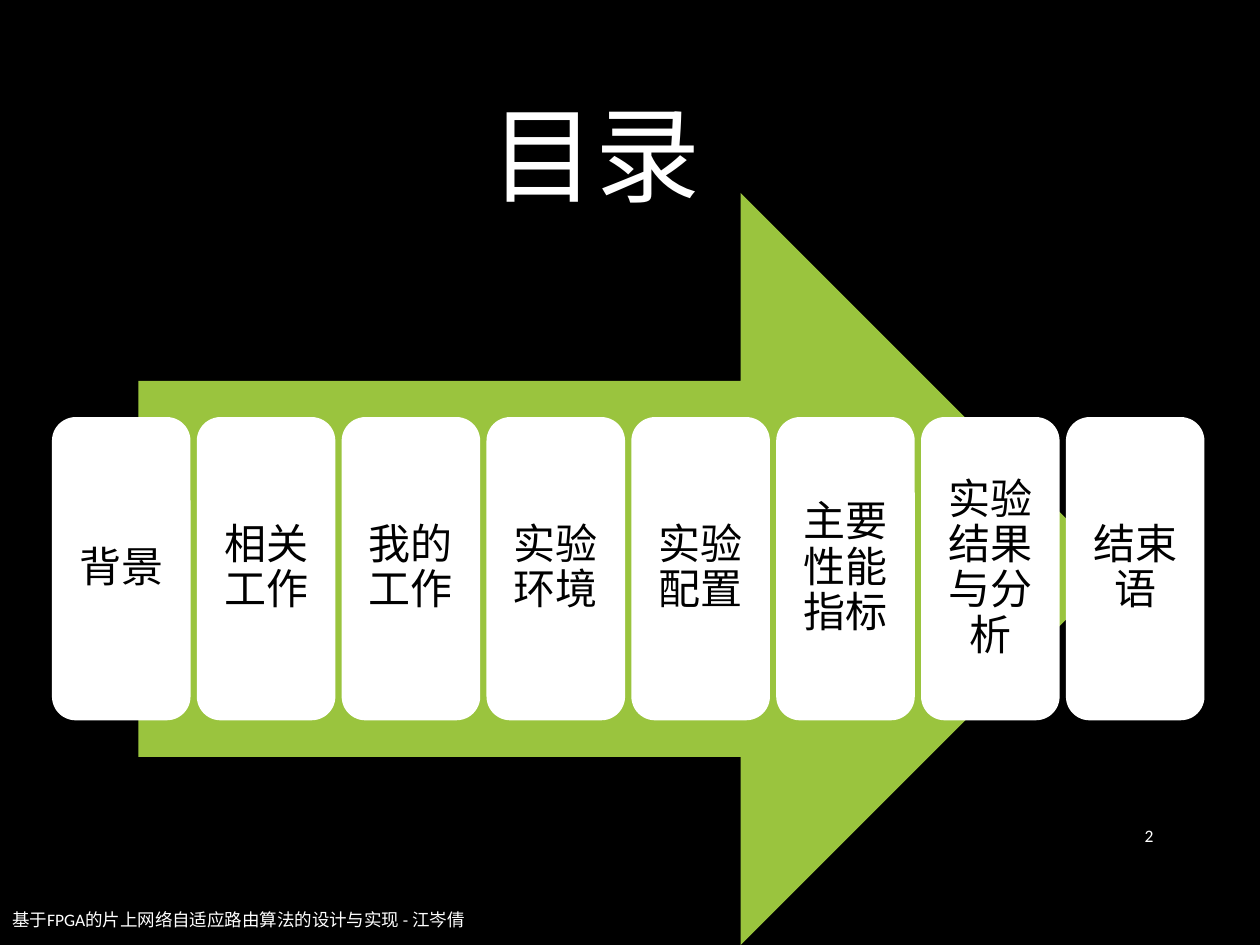
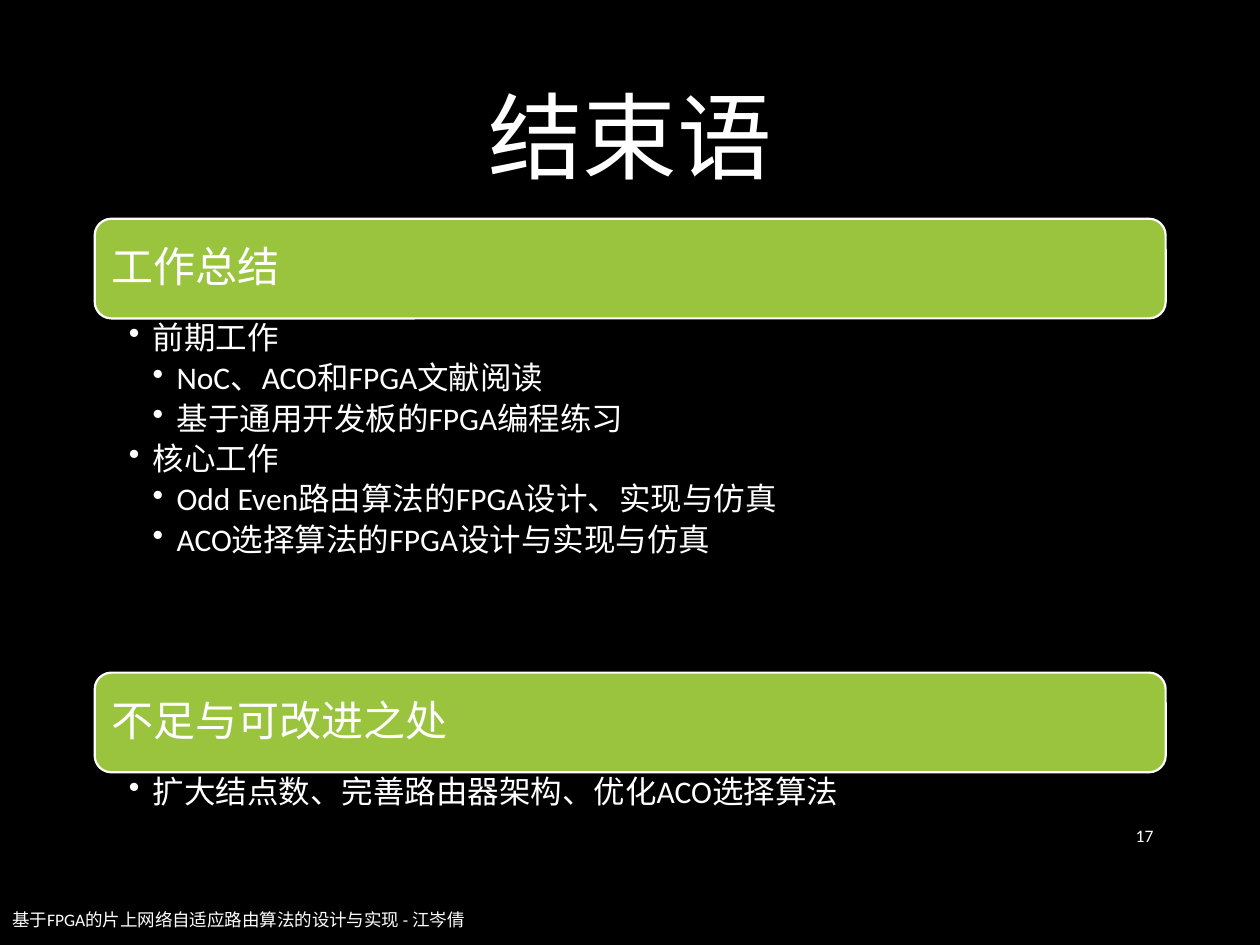
"""Builds the contents page and the closing page of the FPGA routing talk."""
from dataclasses import dataclass

from lxml import etree
from pptx import Presentation
from pptx.dml.color import RGBColor
from pptx.enum.shapes import MSO_SHAPE
from pptx.enum.text import MSO_ANCHOR, PP_ALIGN
from pptx.oxml.ns import qn
from pptx.util import Cm, Pt

ARROW, CARD = MSO_SHAPE.RIGHT_ARROW, MSO_SHAPE.ROUNDED_RECTANGLE
LEFT, CENTER, RIGHT = PP_ALIGN.LEFT, PP_ALIGN.CENTER, PP_ALIGN.RIGHT
MIDDLE, TOP = MSO_ANCHOR.MIDDLE, MSO_ANCHOR.TOP


@dataclass(frozen=True)
class Theme:
    font: str = "Calibri"
    black: RGBColor = RGBColor(0x00, 0x00, 0x00)
    white: RGBColor = RGBColor(0xFF, 0xFF, 0xFF)
    green: RGBColor = RGBColor(0x9A, 0xC4, 0x3E)
    contents_title: int = 60
    closing_title: int = 54
    heading: int = 24
    bullet: int = 18
    footer: int = 10
    spacing: float = 0.9
    outline: float = 1.25


theme = Theme()


def add_box(page, place, fill=None, kind=None, margins=(0.25, 0.13, 0.25, 0.13), anchor=MIDDLE):
    place = [Cm(length) for length in place]
    if kind is None:
        box = page.shapes.add_textbox(*place)
    else:
        box = page.shapes.add_shape(kind, *place)
        box.shadow.inherit = False
        box.fill.solid()
        box.fill.fore_color.rgb = fill
        if kind == CARD:
            box.line.color.rgb = theme.white
            box.line.width = Pt(theme.outline)
        else:
            box.line.fill.background()
    frame = box.text_frame
    frame.word_wrap = True
    frame.vertical_anchor = anchor
    frame.margin_left, frame.margin_top, frame.margin_right, frame.margin_bottom = map(Cm, margins)
    return frame


def write(para, text, size, color=theme.white, align=LEFT, spacing=theme.spacing):
    para.alignment = align
    para.line_spacing = spacing
    span = para.add_run()
    span.text = text
    span.font.name = theme.font
    span.font.size = Pt(size)
    span.font.color.rgb = color


deck = Presentation()
deck.slide_width, deck.slide_height = Cm(25.4), Cm(19.05)
backdrop = deck.slide_master.background.fill
backdrop.solid()
backdrop.fore_color.rgb = theme.black

TALK = "基于FPGA的片上网络自适应路由算法的设计与实现 - 江岑倩"
PAGES = [
    ("目录", theme.contents_title, (1.05, 1.09, 21.92, 4.29), "2"),
    ("结束语", theme.closing_title, (1.75, 1.02, 21.9, 3.68), "17"),
]
for title, size, place, number in PAGES:
    page = deck.slides.add_slide(deck.slide_layouts[6])
    write(add_box(page, place).paragraphs[0], title, size, align=CENTER)
    footer = add_box(page, (0, 18.03, 13.9, 1.02))
    write(footer.paragraphs[0], TALK, theme.footer, spacing=1.0)
    counter = add_box(page, (21.9, 16.33, 1.6, 1.02))
    write(counter.paragraphs[0], number, theme.footer, align=RIGHT, spacing=1.0)
contents, closing = deck.slides

CHAPTERS = ["背景", "相关工作", "我的工作", "实验环境",
            "实验配置", "主要性能指标", "实验结果与分析", "结束语"]
CARD_LEFT, CARD_STEP = 1.07, 2.92
add_box(contents, (2.79, 3.89, 19.72, 15.16), theme.green, ARROW)
for index, chapter in enumerate(CHAPTERS):
    place = (CARD_LEFT + index * CARD_STEP, 8.43, 2.75, 6.07)
    card = add_box(contents, place, theme.white, CARD, margins=(0.25,) * 4)
    write(card.paragraphs[0], chapter, theme.heading, theme.black, CENTER)

SECTIONS = [
    ("工作总结", 4.41, 7.14, [
        (1, "前期工作"),
        (2, "NoC、ACO和FPGA文献阅读"),
        (2, "基于通用开发板的FPGA编程练习"),
        (1, "核心工作"),
        (2, "Odd Even路由算法的FPGA设计、实现与仿真"),
        (2, "ACO选择算法的FPGA设计与实现与仿真"),
    ]),
    ("不足与可改进之处", 13.56, 1.24, [
        (1, "扩大结点数、完善路由器架构、优化ACO选择算法"),
    ]),
]
BAND_LEFT, BAND_WIDTH, BAND_HEIGHT, INDENT = 1.91, 21.59, 2.01, 0.48
for heading, top, list_height, bullets in SECTIONS:
    place = (BAND_LEFT, top, BAND_WIDTH, BAND_HEIGHT)
    band = add_box(closing, place, theme.green, CARD, margins=(0.25,) * 4)
    write(band.paragraphs[0], heading, theme.heading)
    place = (BAND_LEFT, top + BAND_HEIGHT, BAND_WIDTH, list_height)
    points = add_box(closing, place, margins=(0.69, 0.08, 0.36, 0.08), anchor=TOP)
    for index, (level, text) in enumerate(bullets):
        para = points.add_paragraph() if index else points.paragraphs[0]
        write(para, text, theme.bullet)
        para.level = level
        para.space_after = Pt(0.2 * theme.bullet)
        properties = para._p.get_or_add_pPr()
        properties.set("marL", str(Cm(level * INDENT)))
        properties.set("indent", str(-Cm(INDENT)))
        etree.SubElement(properties, qn("a:buChar")).set("char", "•")

deck.save("out.pptx")
